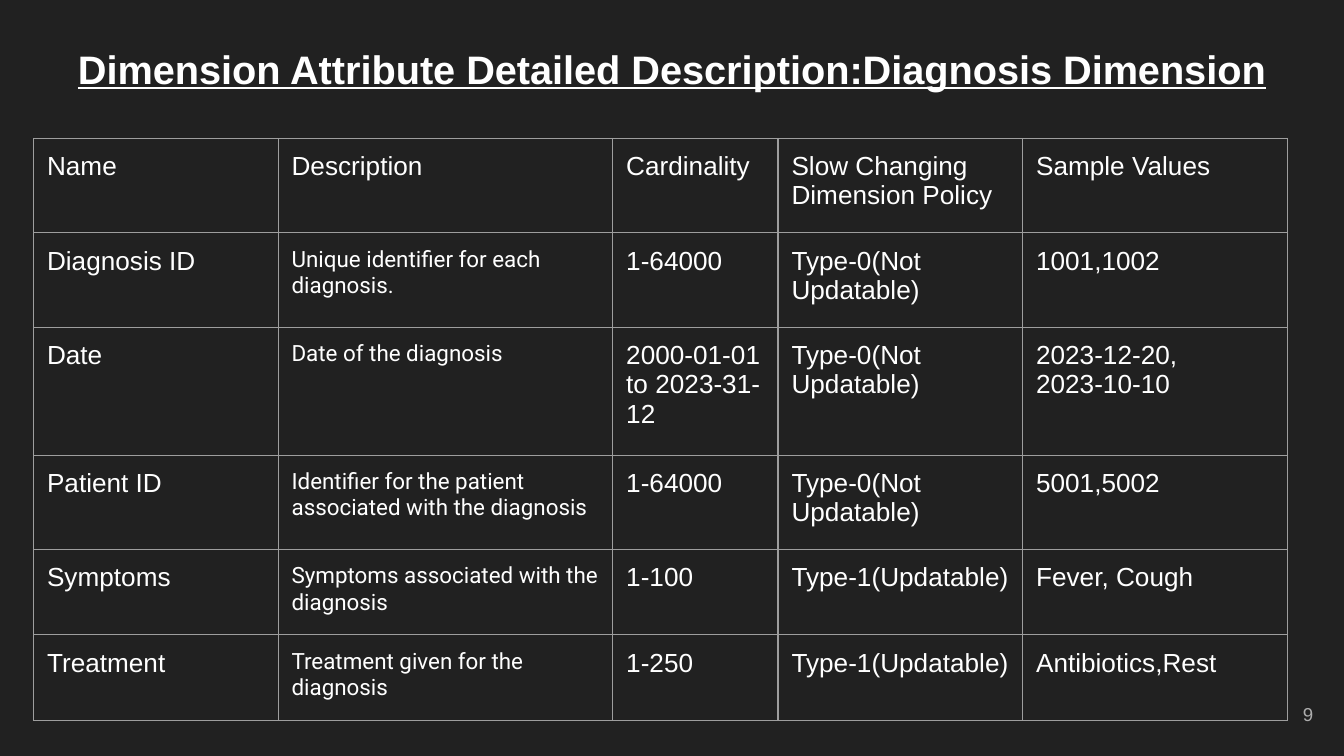
from lxml import etree
from pptx import Presentation
from pptx.dml.color import RGBColor
from pptx.enum import text
from pptx.oxml import ns
from pptx.util import Inches, Pt

# Content
TITLE = "Dimension Attribute Detailed Description:Diagnosis Dimension"
PAGE = "9"
FIXED = "Type-0(Not Updatable)"
OPEN = "Type-1(Updatable)"
ROWS = [
    ("Name", "Description", "Cardinality", "Slow Changing Dimension Policy",
     "Sample Values"),
    ("Diagnosis ID", "Unique identifier for each diagnosis.", "1-64000", FIXED,
     "1001,1002"),
    ("Date", "Date of the diagnosis", "2000-01-01 to 2023-31-12", FIXED,
     "2023-12-20,\n2023-10-10"),
    ("Patient ID", "Identifier for the patient associated with the diagnosis",
     "1-64000", FIXED, "5001,5002"),
    ("Symptoms", "Symptoms associated with the diagnosis", "1-100", OPEN,
     "Fever, Cough"),
    ("Treatment", "Treatment given for the diagnosis", "1-250", OPEN,
     "Antibiotics,Rest"),
]

# Grid: widths in inches, row heights in points
WIDE = 10
HIGH = WIDE * 9 / 16
LEFT, TOP, PAD = 0.25, 1.03, 0.1
COLS = [1.82, 2.49, 1.23, 1.82, 1.97]
TALL = [50.6, 50.6, 68.5, 50.6, 45.7, 45.7]

DARK = RGBColor(0x21, 0x21, 0x21)
WHITE = RGBColor(0xFF, 0xFF, 0xFF)
GREY = RGBColor(0xAD, 0xAD, 0xAD)
RULE = RGBColor(0x9E, 0x9E, 0x9E)


def pad(part):
    for side in ("left", "top", "right", "bottom"):
        setattr(part, "margin_" + side, Inches(PAD))


def write(frame, words, size, face="Arial", ink=WHITE, align=None, strong=False):
    for i, line in enumerate(words.split("\n")):
        para = frame.add_paragraph() if i else frame.paragraphs[0]
        para.alignment = align
        run = para.add_run()
        run.text = line
        font = run.font
        font.size, font.name, font.color.rgb = Pt(size), face, ink
        font.bold = font.underline = strong


def add_box(slide, area, anchor):
    frame = slide.shapes.add_textbox(*map(Inches, area)).text_frame
    frame.word_wrap = True
    frame.vertical_anchor = anchor
    pad(frame)
    return frame


def add_rules(cell):
    props = cell._tc.get_or_add_tcPr()
    for i, side in enumerate(("lnL", "lnR", "lnT", "lnB")):
        line = etree.Element(ns.qn("a:" + side), w=str(Pt(0.75)))
        fill = etree.SubElement(line, ns.qn("a:solidFill"))
        etree.SubElement(fill, ns.qn("a:srgbClr"), val=str(RULE))
        props.insert(i, line)


def add_grid(slide):
    area = (Inches(LEFT), Inches(TOP), Inches(sum(COLS)), Pt(sum(TALL)))
    grid = slide.shapes.add_table(len(TALL), len(COLS), *area).table
    grid.first_row = grid.horz_banding = False
    for col, width in zip(grid.columns, COLS):
        col.width = Inches(width)
    for r, (row, height) in enumerate(zip(grid.rows, TALL)):
        row.height = Pt(height)
        for c, words in enumerate(ROWS[r]):
            cell = grid.cell(r, c)
            pad(cell)
            cell.fill.background()
            add_rules(cell)
            # Descriptions below the header are smaller
            size, face = (12, "Roboto") if r and c == 1 else (14, "Arial")
            write(cell.text_frame, words, size, face)


def main():
    deck = Presentation()
    deck.slide_width, deck.slide_height = Inches(WIDE), Inches(HIGH)
    slide = deck.slides.add_slide(deck.slide_layouts[6])
    slide.background.fill.solid()
    slide.background.fill.fore_color.rgb = DARK

    # Title
    head = add_box(slide, (0.34, 0.23, 9.32, 0.63), text.MSO_ANCHOR.TOP)
    write(head, TITLE, 21.3, align=text.PP_ALIGN.CENTER, strong=True)

    # Attribute table
    add_grid(slide)

    # Page number
    foot = add_box(slide, (9.27, 5.1, 0.6, 0.43), text.MSO_ANCHOR.MIDDLE)
    write(foot, PAGE, 10, ink=GREY, align=text.PP_ALIGN.RIGHT)

    deck.save("out.pptx")


if __name__ == "__main__":
    main()
